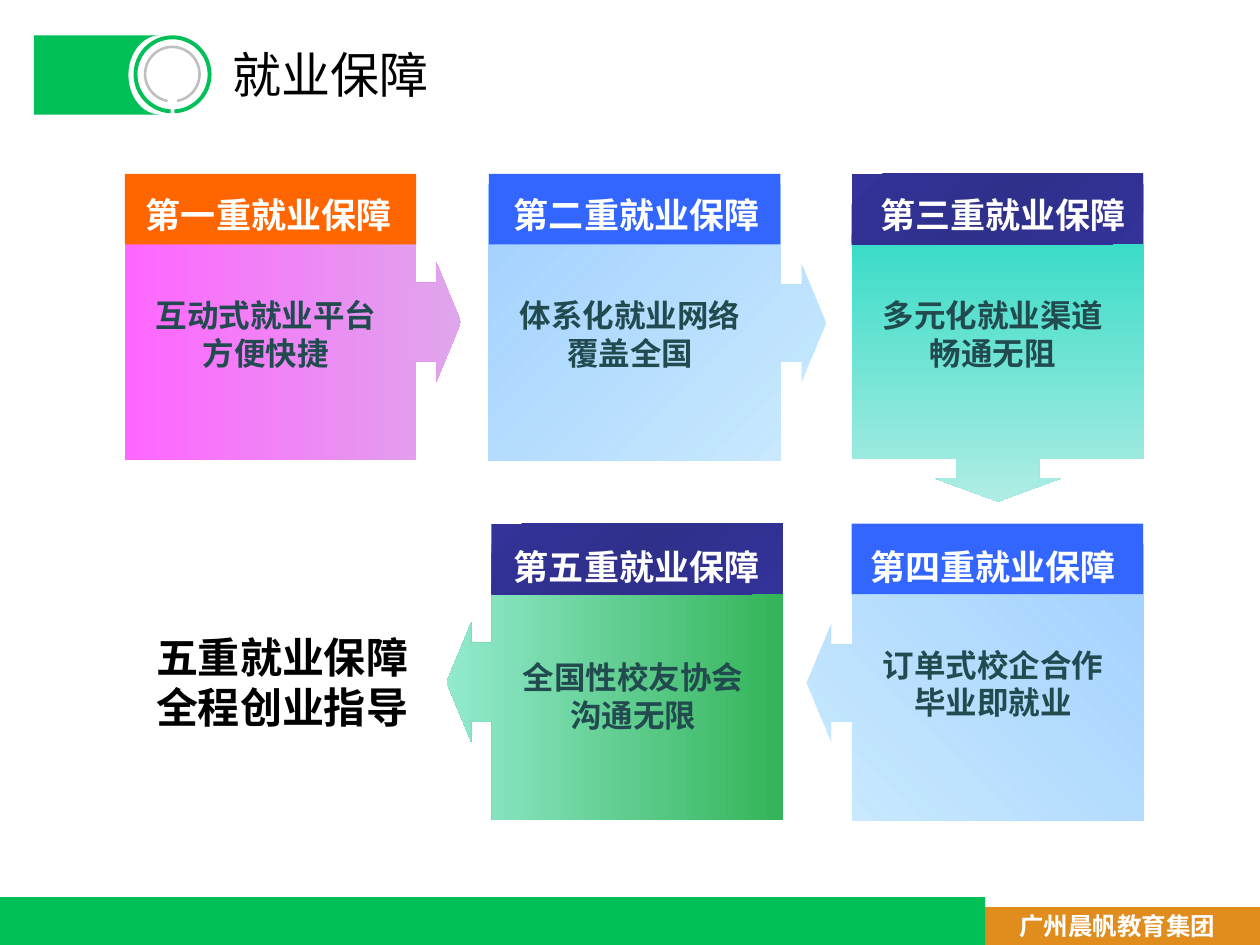
from math import cos, pi, sin

from lxml import etree
from pptx import Presentation
from pptx.dml.color import RGBColor
from pptx.enum.shapes import MSO_SHAPE
from pptx.enum.text import MSO_ANCHOR, PP_ALIGN
from pptx.oxml.ns import qn
from pptx.util import Pt

FONT = "Noto Sans CJK SC"
WHITE = RGBColor(0xFF, 0xFF, 0xFF)
BLACK = RGBColor(0x00, 0x00, 0x00)
GREEN = RGBColor(0x00, 0xC0, 0x57)
AMBER = RGBColor(0xE1, 0x8D, 0x1D)
GREY = RGBColor(0xBF, 0xBF, 0xBF)
TEAL_TEXT = RGBColor(0x22, 0x4B, 0x50)
ORANGE = RGBColor(0xFF, 0x66, 0x00)
BLUE = RGBColor(0x33, 0x66, 0xFF)
NAVY = RGBColor(0x33, 0x33, 0x99)
DEEP_NAVY = RGBColor(0x2F, 0x2F, 0x8C)
PINK = RGBColor(0xFF, 0x66, 0xFF)
MAUVE = RGBColor(0xDF, 0xA6, 0xEB)
SKY = RGBColor(0x99, 0xCC, 0xFF)
PALE_SKY = RGBColor(0xCC, 0xEC, 0xFF)
TURQUOISE = RGBColor(0x1F, 0xD8, 0xC1)
PALE_TURQUOISE = RGBColor(0xAF, 0xED, 0xE4)
LEAF = RGBColor(0x33, 0xB4, 0x58)
MINT = RGBColor(0x93, 0xEA, 0xCE)

# Gradients: clockwise angle, then (position %, colour, opacity %) stops
NAVY_SHEEN = (45, [(0, NAVY, 100), (50, DEEP_NAVY, 100), (100, NAVY, 100)])
PINK_FADE = (0, [(0, PINK, 100), (100, MAUVE, 100)])
SKY_FADE = (45, [(0, SKY, 90), (100, PALE_SKY, 100)])
TURQUOISE_FADE = (0, [(0, TURQUOISE, 100), (100, PALE_TURQUOISE, 100)])
GREEN_FADE = (0, [(0, LEAF, 100), (100, MINT, 100)])

HEADER_W, HEADER_H = 166.6, 40.3
CALLOUT_W, CALLOUT_H = 192.2, 157.7
DOWN_W, DOWN_H = 181.4, 167

TITLE = {"size": Pt(28), "bold": False}
FOOTER = {"size": Pt(14), "bold": True}
HEADING = {"size": Pt(20), "bold": True}
BODY = {"size": Pt(18), "bold": True}
SUMMARY = {"size": Pt(24), "bold": True}


def paint(shape, colour):
    """Fill with a plain colour or a gradient; no line, no shadow."""
    shape.shadow.inherit = False
    shape.line.fill.background()
    if isinstance(colour, RGBColor):
        shape.fill.solid()
        shape.fill.fore_color.rgb = colour
        return
    angle, stops = colour
    shape.fill.gradient()
    shape.fill.gradient_angle = (360 - angle) % 360
    stop_list = shape._element.spPr.find(qn("a:gradFill")).find(qn("a:gsLst"))
    for default_stop in list(stop_list):
        stop_list.remove(default_stop)
    for position, rgb, opacity in stops:
        stop = etree.SubElement(stop_list, qn("a:gs"), pos=str(position * 1000))
        tone = etree.SubElement(stop, qn("a:srgbClr"), val=str(rgb))
        if opacity < 100:
            etree.SubElement(tone, qn("a:alpha"), val=str(opacity * 1000))


def add_block(slide, kind, box, colour, adjustments=()):
    block = slide.shapes.add_shape(kind, *map(Pt, box))
    paint(block, colour)
    for index, value in enumerate(adjustments):
        block.adjustments[index] = value
    return block


def add_label(slide, box, lines, style, colour, align=PP_ALIGN.LEFT, wrap=True, lift=0):
    """Text centred vertically in its box, raised by lift points."""
    frame = slide.shapes.add_textbox(*map(Pt, box)).text_frame
    points = style["size"].pt
    frame_format = {
        "word_wrap": wrap,
        "vertical_anchor": MSO_ANCHOR.MIDDLE,
        "margin_top": Pt(round(0.14 * points, 2)),
        "margin_bottom": Pt(2 * lift),
    }
    for name, value in frame_format.items():
        setattr(frame, name, value)
    for index, line in enumerate(lines):
        paragraph = frame.add_paragraph() if index else frame.paragraphs[0]
        paragraph.alignment = align
        paragraph.line_spacing = Pt(round(1.2 * points, 2))
        run = paragraph.add_run()
        run.text = line
        for name, value in {**style, "name": FONT}.items():
            setattr(run.font, name, value)
        run.font.color.rgb = colour
        etree.SubElement(run.font._element, qn("a:ea"), typeface=FONT)


def add_title_band(slide, box):
    left, top, width, height = box
    # Green plate with a round bite on its right side
    bite_w, half = 18, height / 2
    arc = [
        (left + width - bite_w * sin(pi * step / 24), top + half - half * cos(pi * step / 24))
        for step in range(25)
    ]
    outline = slide.shapes.build_freeform(Pt(left), Pt(top))
    outline.add_line_segments(
        [(Pt(x), Pt(y)) for x, y in arc + [(left, top + height)]], close=True
    )
    paint(outline.convert_to_shape(), GREEN)
    # Two rings, open at the bottom
    for offset, size, gap, thickness, colour in (
        (0, 44.6, 3, 0.05, GREEN),
        (5.9, 32.6, 10, 0.045, GREY),
    ):
        ring = (left + 56.9 + offset, top + offset, size, size)
        angles = [(90 + gap) * 0.6, (90 - gap) * 0.6]
        add_block(slide, MSO_SHAPE.BLOCK_ARC, ring, colour, angles + [thickness])
    add_label(slide, (left + 106.5, top, 468.7, 40.3), ["就业保障"], TITLE, BLACK)


def add_footer(slide, box):
    left, top, width, height = box
    add_block(slide, MSO_SHAPE.RECTANGLE, (left + 541.4, top + 5.8, width - 541.4, height - 5.8), AMBER)
    add_block(slide, MSO_SHAPE.RECTANGLE, (left, top, 563, height), GREEN)
    add_label(slide, (left + 575.3, top + 2.9, 126.7, 24.5), ["广州晨帆教育集团"], FOOTER, WHITE)


def add_guarantee(slide, box, card):
    left, top, width, height = box
    drop = card["drop"]
    # Arrow callout, pointing to the next guarantee
    adjustments = [0.284, 0.215, 0.089, 0.865]
    body = (left, top + drop, CALLOUT_W, CALLOUT_H)
    if card["points"] == "left":
        body = (left + width - CALLOUT_W, top + drop, CALLOUT_W, CALLOUT_H)
    elif card["points"] == "down":
        turn = (DOWN_W - DOWN_H) / 2
        body = (left - turn, top + drop + turn, DOWN_W, DOWN_H)
        adjustments[2] = 0.079
    callout = add_block(slide, MSO_SHAPE.RIGHT_ARROW_CALLOUT, body, card["body_fill"], adjustments)
    if card["points"] == "left":
        callout._element.spPr.xfrm.set("flipH", "1")
    elif card["points"] == "down":
        callout.rotation = 90
    # Header bar and wording
    add_block(slide, MSO_SHAPE.RECTANGLE, box, card["header_fill"])
    heading = (left + card["indent"], top + card["heading_drop"], 157, 31.7)
    add_label(slide, heading, [f"第{card['number']}重就业保障"], HEADING, WHITE, wrap=False)
    dx, dy, text_w, text_h, lift = card.get("text_box", (-1, 70.5, 163.4, 46, 3.5))
    text = (left + dx, top + dy, text_w, text_h)
    add_label(slide, text, card["lines"], BODY, TEAL_TEXT, PP_ALIGN.CENTER, lift=lift)


TOP_ROW = {"top": 99.4, "drop": 5.8, "heading_drop": 5.8, "points": "right"}
BOTTOM_ROW = {"top": 299.2, "drop": 11.8, "heading_drop": 7.5, "points": "left"}
GUARANTEES = [
    {**TOP_ROW, "number": "一", "left": 71.3, "indent": 5, "header_fill": ORANGE,
     "body_fill": PINK_FADE, "lines": ["互动式就业平台", "方便快捷"]},
    {**TOP_ROW, "number": "二", "left": 279.4, "indent": 7.2, "header_fill": BLUE,
     "body_fill": SKY_FADE, "lines": ["体系化就业网络", "覆盖全国"]},
    {**TOP_ROW, "number": "三", "left": 486.7, "indent": 9.4, "header_fill": NAVY_SHEEN,
     "body_fill": TURQUOISE_FADE, "points": "down", "lines": ["多元化就业渠道", "畅通无阻"]},
    {**BOTTOM_ROW, "number": "四", "left": 486.7, "indent": 3.6, "header_fill": BLUE,
     "body_fill": SKY_FADE, "lines": ["订单式校企合作", "毕业即就业"]},
    {**BOTTOM_ROW, "number": "五", "left": 280.8, "indent": 5.8, "header_fill": NAVY_SHEEN,
     "body_fill": GREEN_FADE, "lines": ["全国性校友协会沟通无限"],
     "text_box": (7.9, 71.6, 146.2, 51.1, 0)},
]


def main():
    presentation = Presentation()
    presentation.slide_width, presentation.slide_height = Pt(720), Pt(540)
    slide = presentation.slides.add_slide(presentation.slide_layouts[6])
    add_footer(slide, (0, 512.6, 720, 27.4))
    add_title_band(slide, (19.4, 20.2, 72, 45.3))
    for card in GUARANTEES:
        add_guarantee(slide, (card["left"], card["top"], HEADER_W, HEADER_H), card)
    # Closing summary
    add_label(slide, (82.1, 355, 158.4, 65.5), ["五重就业保障", "全程创业指导"], SUMMARY, BLACK)
    presentation.save("out.pptx")


if __name__ == "__main__":
    main()
